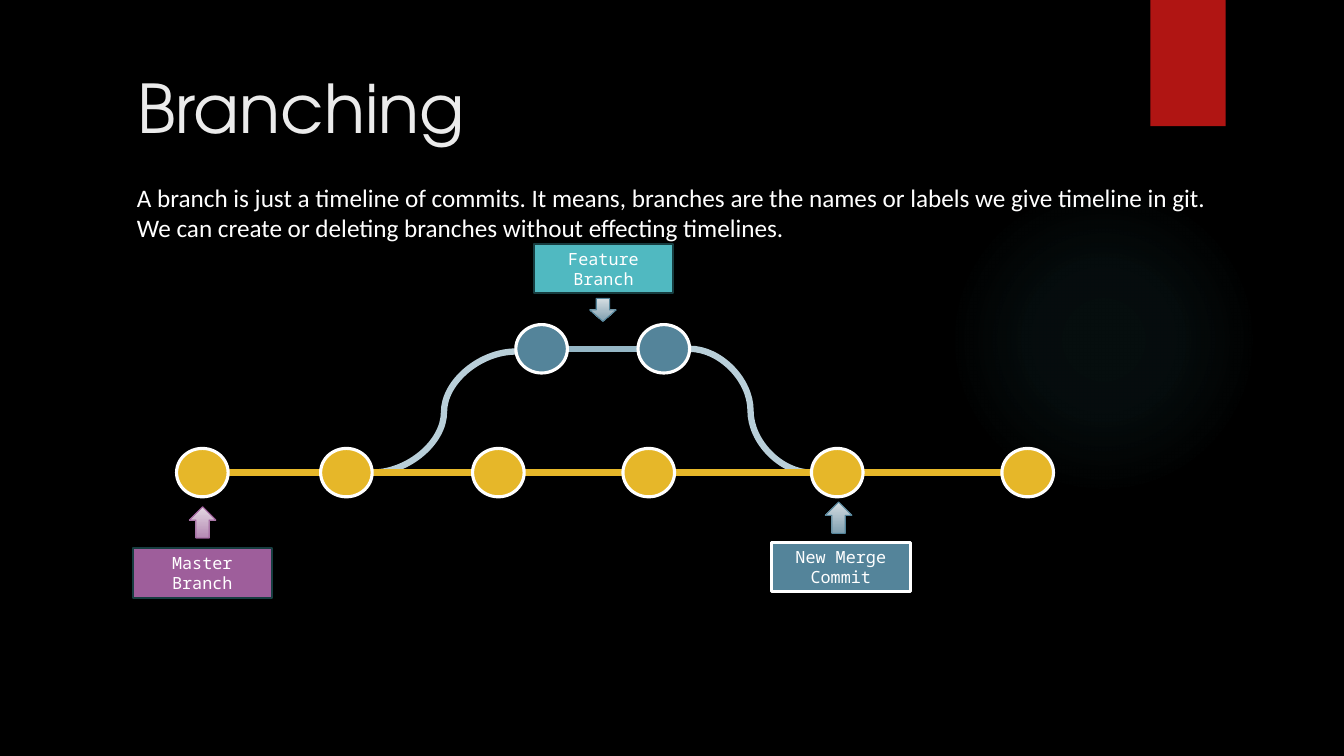
"""Build a slide that explains git branching with a commit timeline."""
from lxml import etree
from pptx import Presentation
from pptx.dml.color import RGBColor
from pptx.enum.shapes import MSO_CONNECTOR, MSO_SHAPE
from pptx.enum.text import MSO_ANCHOR, MSO_AUTO_SIZE, PP_ALIGN
from pptx.oxml import parse_xml
from pptx.oxml.ns import nsdecls, qn
from pptx.util import Cm, Pt

STRAIGHT, CURVE = MSO_CONNECTOR.STRAIGHT, MSO_CONNECTOR.CURVE
RECTANGLE, ELLIPSE = MSO_SHAPE.RECTANGLE, MSO_SHAPE.OVAL
COMMIT, LABEL = MSO_SHAPE.FLOWCHART_CONNECTOR, MSO_SHAPE.FLOWCHART_PROCESS
UP, DOWN = MSO_SHAPE.UP_ARROW, MSO_SHAPE.DOWN_ARROW
TOP, MIDDLE = MSO_ANCHOR.TOP, MSO_ANCHOR.MIDDLE
LEFT, CENTER = PP_ALIGN.LEFT, PP_ALIGN.CENTER

BLACK = RGBColor(0x00, 0x00, 0x00)
WHITE = RGBColor(0xFF, 0xFF, 0xFF)
TITLE_GRAY = RGBColor(0xEB, 0xEB, 0xEB)
RED = RGBColor(0xB0, 0x15, 0x13)
GOLD = RGBColor(0xE6, 0xB7, 0x29)
BLUE = RGBColor(0x54, 0x84, 0x9A)
MID_BLUE = RGBColor(0x95, 0xB6, 0xC5)
PALE_BLUE = RGBColor(0xB9, 0xCF, 0xD9)
TEAL = RGBColor(0x50, 0xB9, 0xC1)
DARK_TEAL = RGBColor(0x17, 0x3D, 0x40)
PURPLE = RGBColor(0x9E, 0x5E, 0x9B)
BLUE_FADE = (RGBColor(0xD5, 0xDD, 0xE2), RGBColor(0x81, 0xA0, 0xB0))
PURPLE_FADE = (RGBColor(0xE4, 0xD8, 0xE3), RGBColor(0xB4, 0x88, 0xB2))

NODE_WIDTH, NODE_HEIGHT = 1.3, 1.22
MASTER_Y, FEATURE_Y = 11.91, 8.79
MASTER_LEFTS = (4.45, 8.08, 11.91, 15.7, 20.45, 25.25)
FEATURE_LEFTS = (13, 16.08)

deck = Presentation()
deck.slide_width, deck.slide_height = Cm(33.87), Cm(19.05)
page = deck.slides.add_slide(deck.slide_layouts[5])
page.background.fill.solid()
page.background.fill.fore_color.rgb = BLACK


def add_box(kind, left, top, width, height, fill, line=None, weight=0):
    """Add a preset shape, filled with a colour or a pair of fading colours."""
    box = page.shapes.add_shape(kind, Cm(left), Cm(top), Cm(width), Cm(height))
    box.shadow.inherit = False
    if isinstance(fill, RGBColor):
        box.fill.solid()
        box.fill.fore_color.rgb = fill
    else:
        box.fill.gradient()
        box.fill.gradient_angle = 270
        for stop, color in zip(box.fill.gradient_stops, fill):
            stop.color.rgb = color
    if line is None:
        box.line.fill.background()
    else:
        box.line.color.rgb = line
        box.line.width = Pt(weight)
    return box


def write_text(box, text, font, size, color, align, anchor):
    """Fill a shape with one evenly formatted paragraph."""
    frame = box.text_frame
    frame.text = text
    frame.word_wrap = True
    frame.auto_size = MSO_AUTO_SIZE.NONE
    frame.vertical_anchor = anchor
    para = frame.paragraphs[0]
    para.alignment = align
    para.font.name, para.font.size = font, Pt(size)
    para.font.color.rgb = color


glow = add_box(ELLIPSE, 23.9, 4.65, 7.82, 7.82, TEAL)
stops = "".join(
    f'<a:gs pos="{place}000"><a:srgbClr val="{TEAL}"><a:alpha val="{alpha}000"/></a:srgbClr></a:gs>'
    for place, alpha in ((0, 7), (36, 6), (69, 0)))
solid = glow._element.spPr.find(qn("a:solidFill"))
solid.getparent().replace(solid, parse_xml(
    f'<a:gradFill {nsdecls("a")}><a:gsLst>{stops}</a:gsLst><a:path path="circle">'
    '<a:fillToRect l="50000" t="50000" r="50000" b="50000"/></a:path></a:gradFill>'))
add_box(RECTANGLE, 28.99, 0, 1.9, 3.18, RED)

title = page.shapes.title
title.left, title.top, title.width, title.height = Cm(3.2), Cm(1.55), Cm(26.92), Cm(2.57)
write_text(title, "Branching", "TeX Gyre Adventor", 48, TITLE_GRAY, LEFT, TOP)
body = page.shapes.add_textbox(Cm(3.2), Cm(4.47), Cm(27.61), Cm(11.91))
write_text(
    body,
    "A branch is just a timeline of commits. It means, branches are the names or labels "
    "we give timeline in git. We can create or deleting branches without effecting timelines.",
    "Calibri", 18, WHITE, LEFT, TOP)

fork_x = MASTER_LEFTS[1] + NODE_WIDTH
feature_end = FEATURE_LEFTS[1] + NODE_WIDTH
links = [
    (CURVE, fork_x, MASTER_Y, FEATURE_LEFTS[0], FEATURE_Y + 0.07, PALE_BLUE),
    (CURVE, feature_end, FEATURE_Y, MASTER_LEFTS[4], MASTER_Y, PALE_BLUE),
]
for lefts, y, color in ((MASTER_LEFTS, MASTER_Y, GOLD), (FEATURE_LEFTS, FEATURE_Y, MID_BLUE)):
    for start, end in zip(lefts, lefts[1:]):
        links.append((STRAIGHT, start + NODE_WIDTH, y, end, y, color))
for kind, start_x, start_y, end_x, end_y, color in links:
    link = page.shapes.add_connector(kind, Cm(start_x), Cm(start_y), Cm(end_x), Cm(end_y))
    link.line.color.rgb = color
    link.line.width = Pt(4.5)
    etree.SubElement(link._element.spPr, qn("a:effectLst"))

for lefts, y, color in ((MASTER_LEFTS, MASTER_Y, GOLD), (FEATURE_LEFTS, FEATURE_Y, BLUE)):
    for left in lefts:
        add_box(COMMIT, left, y - NODE_HEIGHT / 2, NODE_WIDTH, NODE_HEIGHT, color, WHITE, 2.25)

for text, left, top, fill, line, weight in (
    ("Master Branch", 3.35, 13.82, PURPLE, DARK_TEAL, 1.5),
    ("Feature Branch", 13.46, 6.15, TEAL, DARK_TEAL, 1.5),
    ("New Merge Commit", 19.44, 13.67, BLUE, WHITE, 2.25),
):
    label = add_box(LABEL, left, top, 3.5, 1.24, fill, line, weight)
    write_text(label, text, "Noto Sans Mono", 12, WHITE, CENTER, MIDDLE)

for kind, left, top, height, fade, line in (
    (UP, 4.77, 12.77, 0.79, PURPLE_FADE, PURPLE),
    (DOWN, 14.86, 7.52, 0.58, BLUE_FADE, BLUE),
    (UP, 20.8, 12.65, 0.79, BLUE_FADE, BLUE),
):
    add_box(kind, left, top, 0.67, height, fade, line, 0.75)

deck.save("out.pptx")
